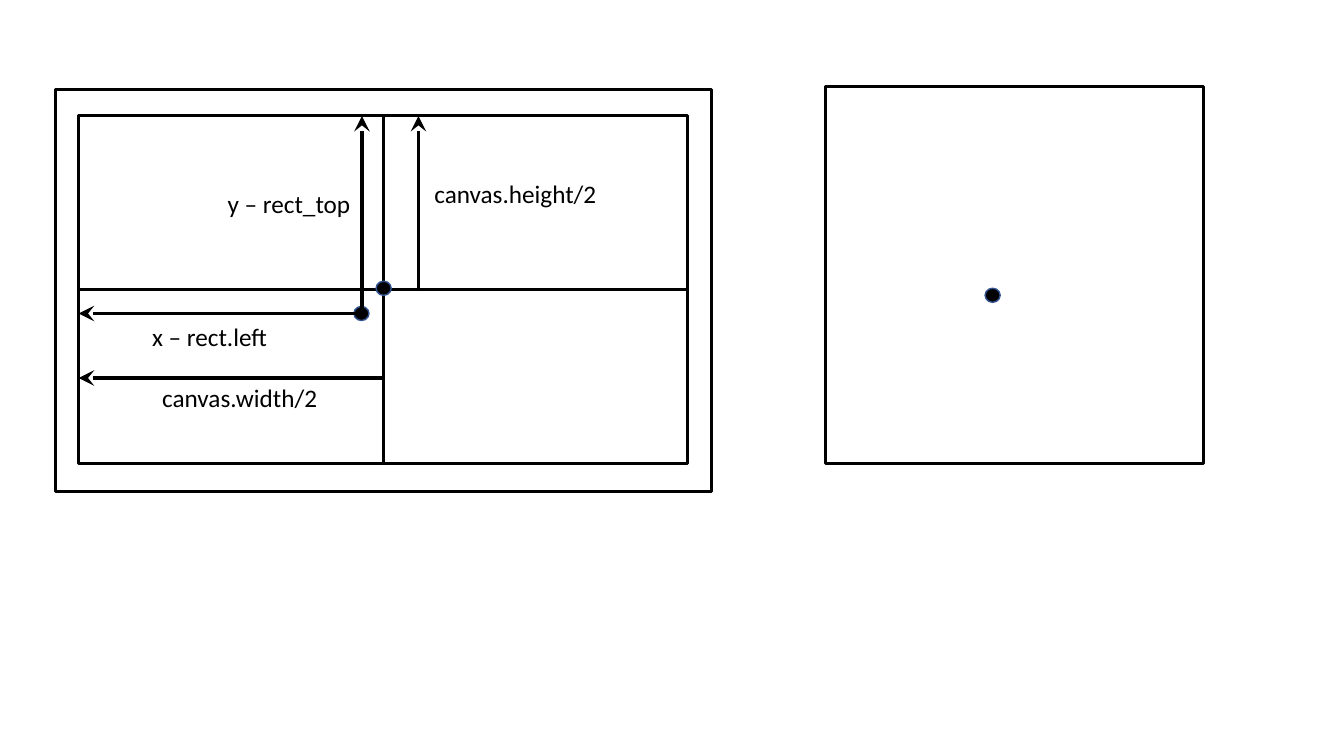
from pptx import Presentation
from pptx.dml.color import RGBColor
from pptx.enum.shapes import MSO_CONNECTOR as CONN, MSO_SHAPE as SHAPE
from pptx.enum.text import MSO_AUTO_SIZE as FIT
from pptx.oxml.ns import qn
from pptx.util import Emu, Pt
from lxml.etree import SubElement

BLACK = "000000"
DOT_EDGE = "325491"
TOP, LEFT, BOTTOM, RIGHT = range(4)


def px(n):
    """Convert px to EMU at 100 px to the inch."""
    return Emu(n * 9144)


def color(hex_text):
    """Turn a hex string into a colour."""
    return RGBColor.from_string(hex_text)


def add_outline(s, kind, x, y, w, h, line, width):
    """Add an unfilled shape with a solid outline."""
    sp = s.shapes.add_shape(kind, px(x), px(y), px(w), px(h))
    sp.shadow.inherit = False
    sp.fill.background()
    sp.line.color.rgb = color(line)
    sp.line.width = Pt(width)
    return sp


def add_frame(s, x, y, w, h):
    """Add a black rectangular frame."""
    return add_outline(s, SHAPE.RECTANGLE, x, y, w, h, BLACK, 2.25)


def add_dot(s, x, y):
    """Add a black point marker."""
    sp = add_outline(s, SHAPE.OVAL, x, y, 15, 14, DOT_EDGE, 1)
    sp.fill.solid()
    sp.fill.fore_color.rgb = color(BLACK)


def add_line(s, x1, y1, x2, y2):
    """Add a plain black line."""
    cn = s.shapes.add_connector(CONN.STRAIGHT, px(x1), px(y1), px(x2), px(y2))
    cn.line.color.rgb = color(BLACK)
    cn.line.width = Pt(2.25)
    SubElement(cn._element.spPr, qn("a:effectLst"))
    return cn


def add_arrow(s, x1, y1, x2, y2):
    """Add a line with an arrowhead at its end."""
    cn = add_line(s, x1, y1, x2, y2)
    SubElement(cn.line._get_or_add_ln(), qn("a:tailEnd"), type="stealth", w="lg", len="lg")


def add_axis(s, frame, start, end):
    """Join the middles of two opposite sides of a frame."""
    cn = add_line(s, 0, 0, 0, 0)
    cn.begin_connect(frame, start)
    cn.end_connect(frame, end)


def add_label(s, text, x, y, w):
    """Add a one-line label."""
    tf = s.shapes.add_textbox(px(x), px(y), px(w), px(40)).text_frame
    tf.word_wrap = False
    tf.auto_size = FIT.SHAPE_TO_FIT_TEXT
    r = tf.paragraphs[0].add_run()
    r.text = text
    r.font.name = "Calibri"
    r.font.size = Pt(18)
    r.font.color.rgb = color(BLACK)


def main():
    """Build the slide and save it."""
    prs = Presentation()
    prs.slide_width, prs.slide_height = px(1333), px(750)
    s = prs.slides.add_slide(prs.slide_layouts[6])

    add_frame(s, 55, 89, 651, 399)
    canvas = add_frame(s, 78, 115, 604, 345)
    add_dot(s, 351, 304)
    add_arrow(s, 353, 311, 78, 311)
    add_arrow(s, 359, 311, 359, 115)
    add_axis(s, canvas, LEFT, RIGHT)
    add_axis(s, canvas, TOP, BOTTOM)
    add_dot(s, 373, 279)
    add_arrow(s, 415, 289, 415, 115)
    add_arrow(s, 380, 375, 78, 375)

    for text, x, y, w in (
        ("x – rect.left", 141, 314, 138),
        ("y – rect_top", 216, 182, 144),
        ("canvas.height/2", 421, 172, 183),
        ("canvas.width/2", 151, 374, 179),
    ):
        add_label(s, text, x, y, w)

    add_frame(s, 819, 86, 375, 374)
    add_dot(s, 977, 286)
    prs.save("out.pptx")


if __name__ == "__main__":
    main()
